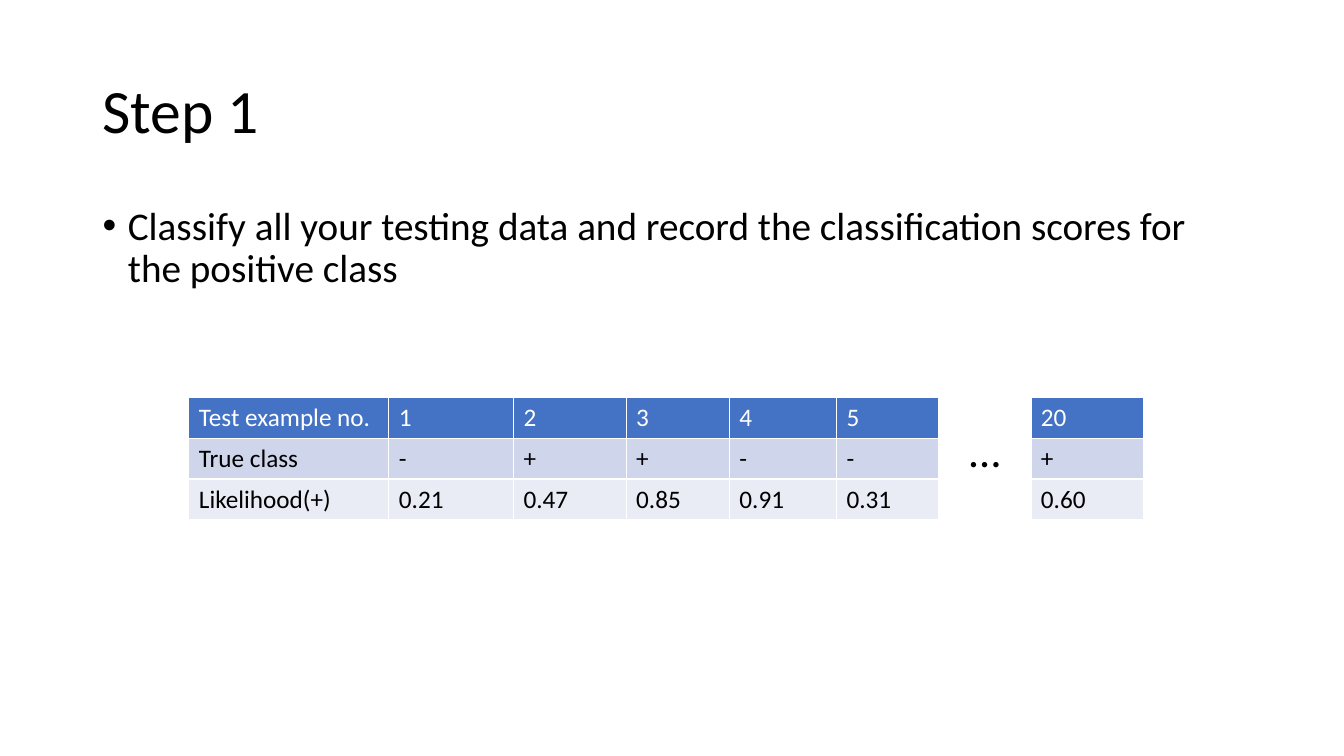
from pptx import Presentation
from pptx.dml.color import RGBColor
from pptx.enum.text import MSO_ANCHOR, MSO_AUTO_SIZE, PP_ALIGN
from pptx.util import Cm, Pt

BLACK = RGBColor(0x00, 0x00, 0x00)
WHITE = RGBColor(0xFF, 0xFF, 0xFF)
BLUE = RGBColor(0x44, 0x72, 0xC4)
BAND_DARK = RGBColor(0xCF, 0xD5, 0xEA)
BAND_LIGHT = RGBColor(0xE9, 0xEB, 0xF5)
ROW_STYLES = [(BLUE, WHITE), (BAND_DARK, BLACK), (BAND_LIGHT, BLACK)]


class SlideBuilder:
    """Hold the text style and the current slide, and add elements to it."""

    font = "Calibri"
    row_height = Cm(1.03)

    def __init__(self, slide):
        self.slide = slide

    def set_text(self, tf, text, size, color=BLACK):
        tf.text = text
        p = tf.paragraphs[0]
        p.alignment = PP_ALIGN.LEFT
        for r in p.runs:
            r.font.name = self.font
            r.font.size = Pt(size)
            r.font.bold = False
            r.font.color.rgb = color
        return p

    def placeholder(self, sp, text, size, top, height, anchor):
        sp.left, sp.top, sp.width, sp.height = Cm(2.33), top, Cm(29.21), height
        tf = sp.text_frame
        tf.word_wrap = True
        tf.auto_size = MSO_AUTO_SIZE.NONE
        tf.vertical_anchor = anchor
        p = self.set_text(tf, text, size)
        p.line_spacing = 0.9
        return p

    def title(self, text):
        self.placeholder(self.slide.shapes.title, text, 44,
                         Cm(1.01), Cm(3.68), MSO_ANCHOR.MIDDLE)

    def bullet(self, text):
        p = self.placeholder(self.slide.placeholders[1], text, 28,
                             Cm(5.07), Cm(12.09), MSO_ANCHOR.TOP)
        p.space_before = Pt(10)
        pPr = p._p.get_or_add_pPr()
        pPr.set("marL", str(Cm(0.64)))
        pPr.set("indent", str(Cm(-0.64)))

    def text(self, text, size, left, top, width, height):
        tf = self.slide.shapes.add_textbox(left, top, width, height).text_frame
        tf.word_wrap = True
        self.set_text(tf, text, size)

    def table(self, rows, left, top, widths):
        table = self.slide.shapes.add_table(
            len(rows), len(widths), left, top,
            sum(widths), self.row_height * len(rows)).table
        for column, width in zip(table.columns, widths):
            column.width = width
        for row, texts, (fill, color) in zip(table.rows, rows, ROW_STYLES):
            row.height = self.row_height
            for cell, text in zip(row.cells, texts):
                cell.fill.solid()
                cell.fill.fore_color.rgb = fill
                self.set_text(cell.text_frame, text, 18, color)


prs = Presentation()
prs.slide_width, prs.slide_height = Cm(33.87), Cm(19.05)
s = SlideBuilder(prs.slides.add_slide(prs.slide_layouts[1]))

s.title("Step 1")
s.bullet("Classify all your testing data and record the classification "
         "scores for the positive class")

table_top = Cm(10.01)
first_examples = [
    ["Test example no.", "1", "2", "3", "4", "5"],
    ["True class", "-", "+", "+", "-", "-"],
    ["Likelihood(+)", "0.21", "0.47", "0.85", "0.91", "0.31"],
]
last_example = [["20"], ["+"], ["0.60"]]
s.table(first_examples, Cm(4.76), table_top,
        [Cm(w) for w in (5.04, 3.14, 2.84, 2.6, 2.7, 2.58)])
s.text("…", 32, Cm(24.18), Cm(10.52), Cm(2.64), Cm(1.62))
s.table(last_example, Cm(25.98), table_top, [Cm(2.85)])

prs.save("out.pptx")
